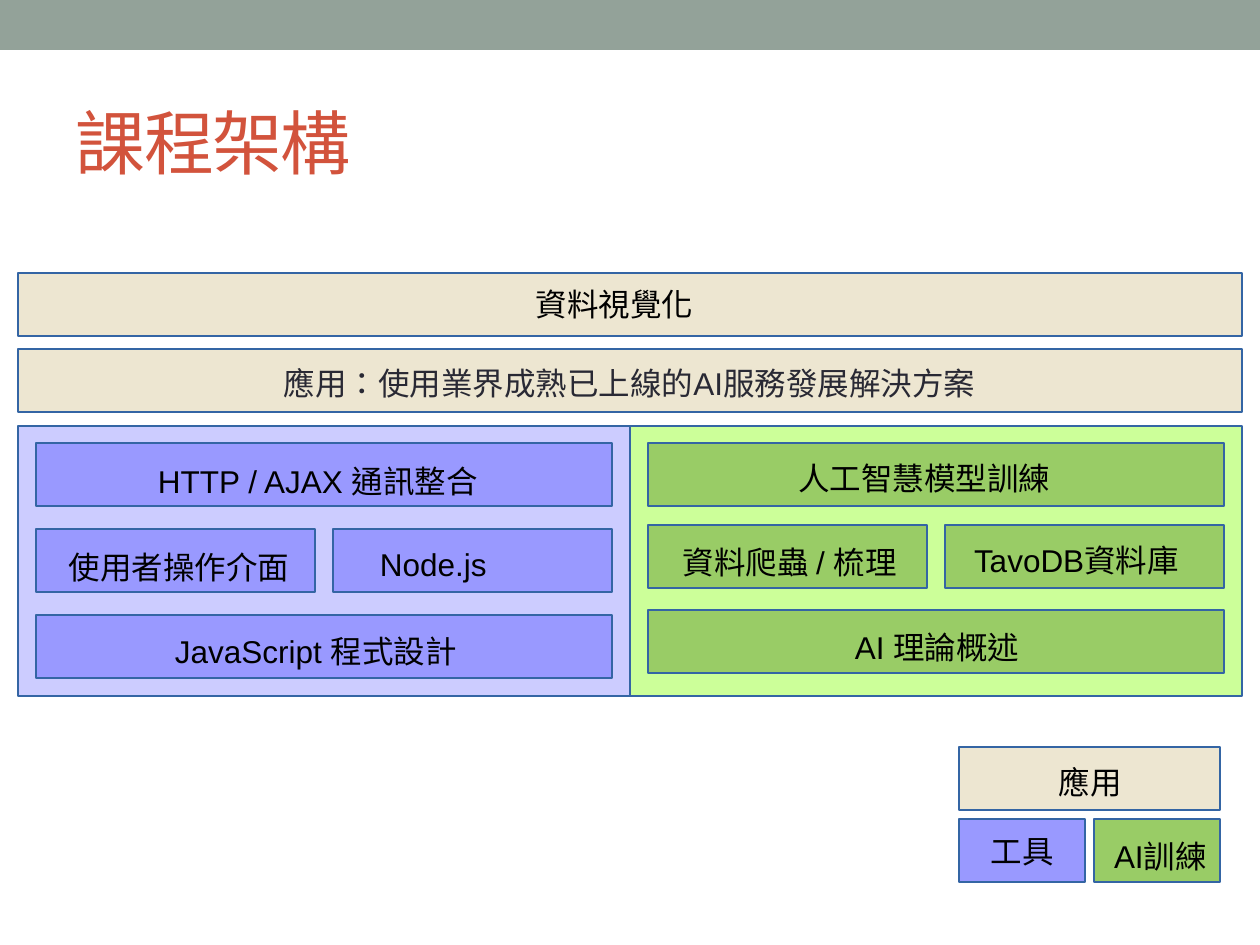
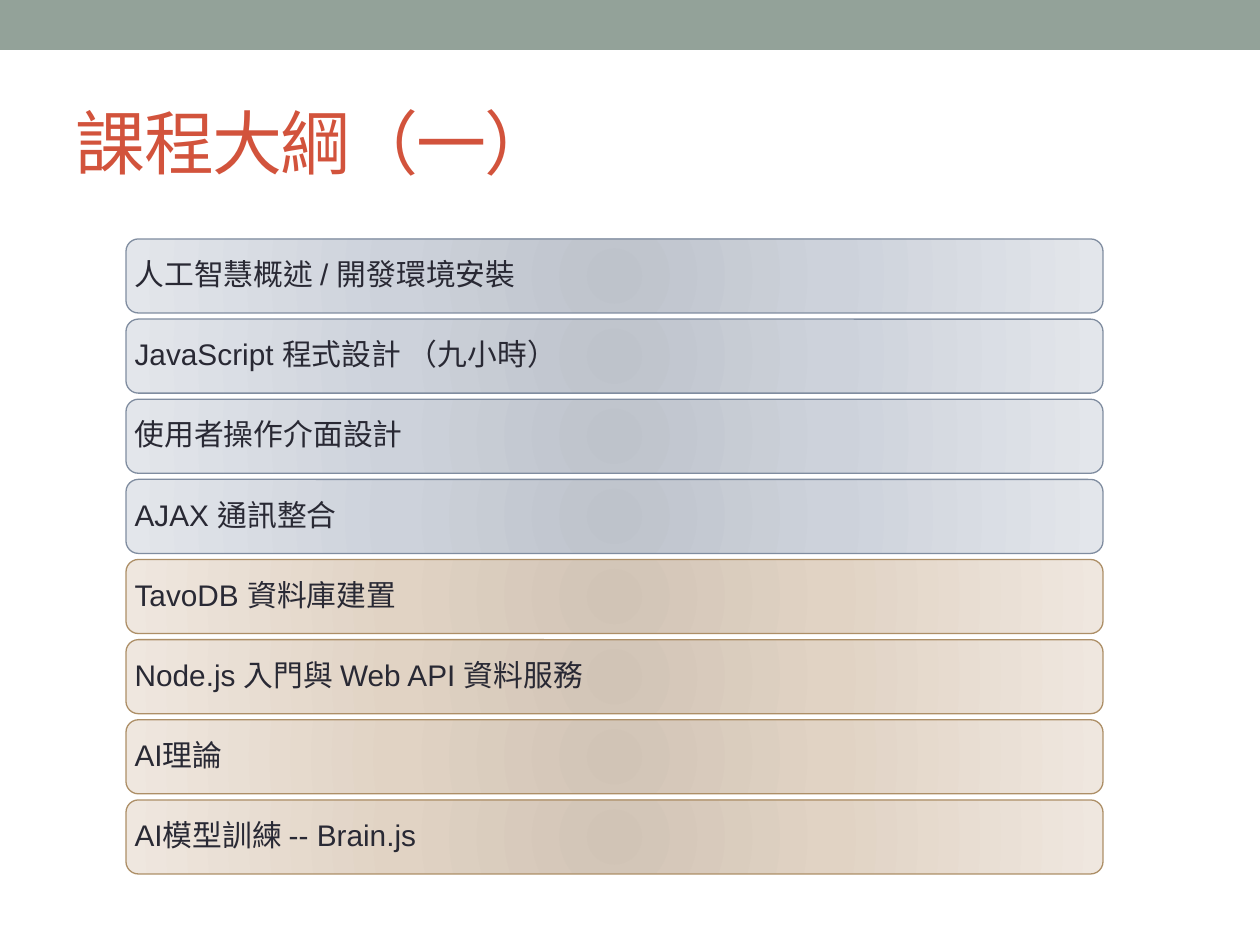
from lxml import etree
from pptx import Presentation
from pptx.dml.color import RGBColor
from pptx.enum.lang import MSO_LANGUAGE_ID
from pptx.enum.shapes import MSO_SHAPE
from pptx.enum.text import MSO_ANCHOR, PP_ALIGN
from pptx.oxml.ns import qn
from pptx.util import Pt

RECTANGLE, ROUNDED = MSO_SHAPE.RECTANGLE, MSO_SHAPE.ROUNDED_RECTANGLE
TOP, MIDDLE, LEFT = MSO_ANCHOR.TOP, MSO_ANCHOR.MIDDLE, PP_ALIGN.LEFT
TAIWAN = MSO_LANGUAGE_ID.TAIWAN if hasattr(MSO_LANGUAGE_ID, "TAIWAN") else MSO_LANGUAGE_ID.TRADITIONAL_CHINESE
PX = 914400 / 126
FONT = "Arial"
COLORS = {
    "band": "93A299", "title": "D2533C", "text": "292934", "black": "000000",
    "outline": "3465A4", "application": "EDE6D1",
    "tool": "9999FF", "tool panel": "CCCCFF",
    "training": "99CC66", "training panel": "CCFF99",
    "front": "808DA0", "back": "AD8F67",
}
GRADIENTS = {
    "front": {0: "BEC3CB", 45: "CDD2DB", 100: "E3E6EB"},
    "back": {0: "D1C4B6", 45: "E1D3C4", 100: "EFE7DF"},
}


def add_box(slide, box, fill=None, line=None, kind=RECTANGLE):
    """Add a preset shape; box is left, top, width, height in px."""
    shape = slide.shapes.add_shape(kind, *(round(n * PX) for n in box))
    shape.shadow.inherit = False
    if fill in GRADIENTS:
        shape.fill.background()
        properties = shape.element.spPr
        gradient = etree.Element(qn("a:gradFill"), rotWithShape="1")
        stops = etree.SubElement(gradient, qn("a:gsLst"))
        for position, color in GRADIENTS[fill].items():
            stop = etree.SubElement(stops, qn("a:gs"), pos=str(position * 1000))
            etree.SubElement(stop, qn("a:srgbClr"), val=color)
        circle = etree.SubElement(gradient, qn("a:path"))
        circle.set("path", "circle")
        etree.SubElement(circle, qn("a:fillToRect"),
                         {side: "100000" for side in "ltrb"})
        properties.replace(properties.find(qn("a:noFill")), gradient)
    else:
        shape.fill.solid()
        shape.fill.fore_color.rgb = RGBColor.from_string(COLORS[fill])
    if line:
        shape.line.color.rgb = RGBColor.from_string(COLORS[line])
        shape.line.width = Pt(0.75)
    else:
        shape.line.fill.background()
    return shape


def write_text(shape, text, size=18, color="black", anchor=TOP,
               insets=(11, 7, 11, 5), line_spacing=1.0, tracking=0):
    frame = shape.text_frame
    frame.word_wrap = True
    frame.vertical_anchor = anchor
    (frame.margin_left, frame.margin_top,
     frame.margin_right, frame.margin_bottom) = (round(n * PX) for n in insets)
    paragraph = frame.paragraphs[0]
    paragraph.alignment = LEFT
    paragraph.line_spacing = line_spacing
    run = paragraph.add_run()
    run.text = text
    run.font.name = FONT
    run.font.size = Pt(size)
    run.font.language_id = TAIWAN
    run.font.color.rgb = RGBColor.from_string(COLORS[color])
    if tracking:
        run.font._element.set("spc", str(tracking * 100))


presentation = Presentation()
presentation.slide_width = round(1260 * PX)
presentation.slide_height = round(945 * PX)

# Shared band and title
slides = []
for title in ("課程架構", "課程大綱（一）"):
    slide = presentation.slides.add_slide(presentation.slide_layouts[6])
    add_box(slide, (0, 0, 1260, 50), "band")
    title_box = slide.shapes.add_textbox(
        *(round(n * PX) for n in (63, 73, 1134, 136)))
    write_text(title_box, title, size=40, color="title", anchor=MIDDLE,
               insets=(13, 6, 13, 6), tracking=-1)
    slides.append(slide)
structure, outline = slides

# Course structure: two panels, then labelled blocks
for left, fill in ((630, "training panel"), (18, "tool panel")):
    add_box(structure, (left, 426, 612, 270), fill, "outline")

BLOCK_HEIGHT, LABEL_HEIGHT = 63, 47
FULL, WIDE, HALF = 1224, 576, 279
TOOL_LEFT, TRAINING_LEFT, HALF_STEP = 36, 648, 297
LEGEND_LEFT = 959
# kind, left, top, width, label, label left, label top, label width
blocks = [
    ("application", 18, 273, FULL, "資料視覺化", 525, 278, 575),
    ("application", 18, 349, FULL,
     "應用：使用業界成熟已上線的AI服務發展解決方案", 273, 357, 746),
    ("tool", TOOL_LEFT, 443, WIDE, "HTTP / AJAX 通訊整合", 147, 455, 407),
    ("tool", TOOL_LEFT, 529, HALF, "使用者操作介面", 58, 541, 250),
    ("tool", TOOL_LEFT + HALF_STEP, 529, HALF, "Node.js", 369, 538, 215),
    ("tool", TOOL_LEFT, 615, WIDE, "JavaScript 程式設計", 164, 625, 455),
    ("training", TRAINING_LEFT, 443, WIDE, "人工智慧模型訓練", 787, 452, 285),
    ("training", TRAINING_LEFT, 525, HALF, "資料爬蟲 / 梳理", 672, 536, 265),
    ("training", TRAINING_LEFT + HALF_STEP, 525, HALF, "TavoDB資料庫", 963, 534, 270),
    ("training", TRAINING_LEFT, 610, WIDE, "AI 理論概述", 844, 621, 278),
    ("application", LEGEND_LEFT, 747, 261, "應用", 1048, 756, 100),
    ("tool", LEGEND_LEFT, 819, 126, "工具", 980, 825, 100),
    ("training", LEGEND_LEFT + 135, 819, 126, "AI訓練", 1103, 830, 130),
]
for kind, left, top, width, label, label_left, label_top, label_width in blocks:
    add_box(structure, (left, top, width, BLOCK_HEIGHT), kind, "outline")
    label_box = structure.shapes.add_textbox(
        *(round(n * PX) for n in (label_left, label_top, label_width, LABEL_HEIGHT)))
    write_text(label_box, label, color="text" if label.startswith("應用：") else "black")

# Course outline: evenly spaced cards
topics = {
    "front": ["人工智慧概述 / 開發環境安裝", "JavaScript 程式設計 （九小時）",
              "使用者操作介面設計", "AJAX 通訊整合"],
    "back": ["TavoDB 資料庫建置", "Node.js 入門與 Web API 資料服務",
             "AI理論", "AI模型訓練 -- Brain.js"],
}
cards = [(part, topic) for part, names in topics.items() for topic in names]
FIRST_TOP, LAST_TOP = 239, 800
card_step = (LAST_TOP - FIRST_TOP) / (len(cards) - 1)
for index, (part, topic) in enumerate(cards):
    card = add_box(outline, (126, FIRST_TOP + index * card_step, 977, 74),
                   part, part, ROUNDED)
    write_text(card, topic, size=17, color="text", anchor=MIDDLE,
               insets=(5, 9, 5, 9), line_spacing=0.9)

presentation.save("out.pptx")
